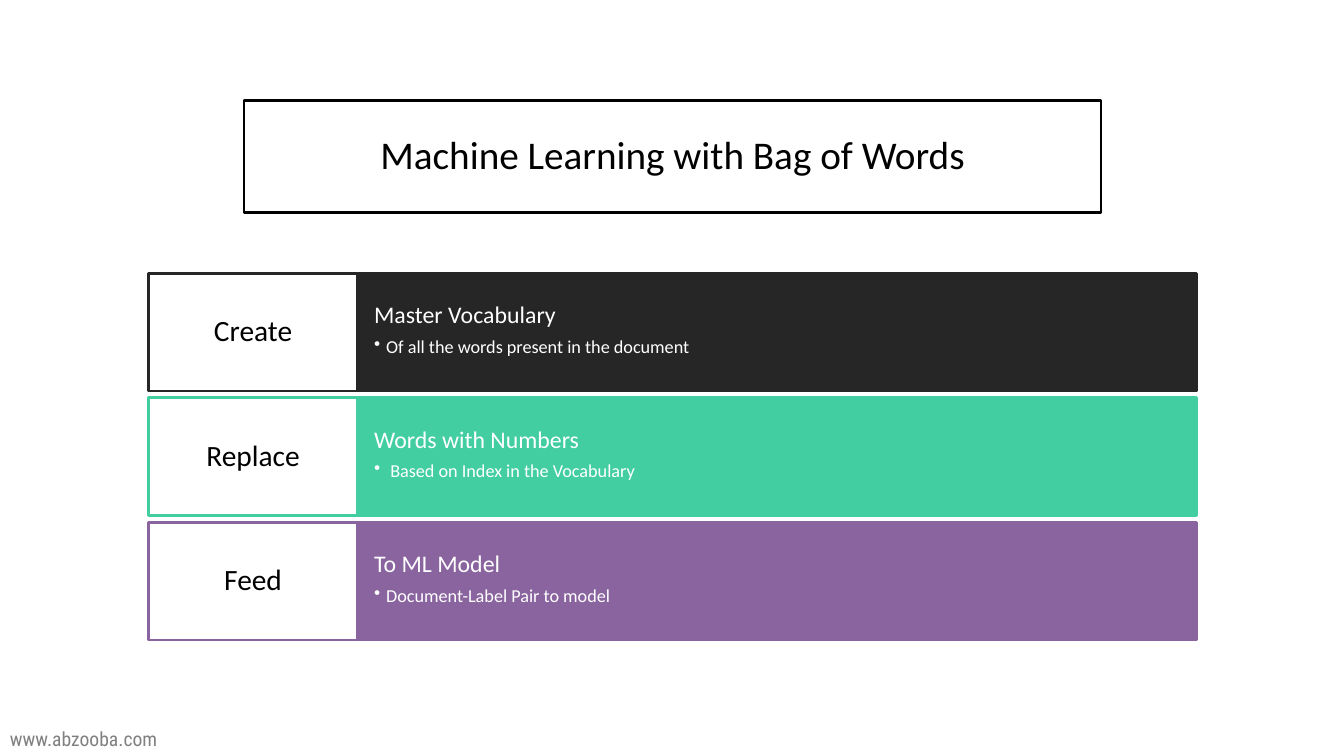
from lxml import etree
from pptx import Presentation
from pptx.dml.color import RGBColor
from pptx.enum.shapes import MSO_SHAPE
from pptx.enum.text import MSO_ANCHOR, MSO_AUTO_SIZE, PP_ALIGN
from pptx.oxml.ns import qn
from pptx.util import Inches, Pt

TITLE = "Machine Learning with Bag of Words"
FOOTER = "www.abzooba.com"
STEPS = [
    ("Create", "Master Vocabulary", "Of all the words present in the document", "dark"),
    ("Replace", "Words with Numbers", " Based on Index in the Vocabulary", "green"),
    ("Feed", "To ML Model", "Document-Label Pair to model", "purple"),
]
COLORS = {
    "black": "000000", "white": "FFFFFF", "gray": "808080",
    "dark": "262626", "green": "42CEA1", "purple": "8A649F",
}
LEFT, TOP, PITCH, ROW_H = 1.47, 2.71, 1.235, 1.17
LABEL_W, DETAIL_W = 2.08, 8.32


def rgb(name):
    return RGBColor.from_string(COLORS[name])


def paint(sp, fill, line):
    sp.fill.solid()
    sp.fill.fore_color.rgb = rgb(fill)
    sp.line.color.rgb = rgb(line)
    sp.line.width = Pt(2)


def set_frame(tf, anchor, x_inset, y_inset):
    tf.word_wrap = True
    tf.auto_size = MSO_AUTO_SIZE.NONE
    tf.vertical_anchor = anchor
    tf.margin_left = tf.margin_right = Inches(x_inset)
    tf.margin_top = tf.margin_bottom = Inches(y_inset)


def write(p, text, size, color, align=PP_ALIGN.LEFT, after=0, font="Calibri"):
    p.text = text
    p.alignment = align
    p.line_spacing = 0.9
    p.space_before = Pt(0)
    p.space_after = Pt(after)
    f = p.runs[0].font
    f.name, f.size, f.color.rgb = font, Pt(size), rgb(color)


def add_bullet(p):
    pPr = p._p.get_or_add_pPr()
    pPr.set("marL", str(Inches(0.12)))
    pPr.set("indent", str(Inches(-0.12)))
    etree.SubElement(pPr, qn("a:buChar")).set("char", "•")


def add_box(slide, x, y, w, fill, line):
    sp = slide.shapes.add_shape(MSO_SHAPE.RECTANGLE, Inches(x), Inches(y), Inches(w), Inches(ROW_H))
    sp.shadow.inherit = False
    paint(sp, fill, line)
    return sp


def add_step(slide, y, label, heading, detail, color):
    tf = add_box(slide, LEFT + LABEL_W, y, DETAIL_W, color, color).text_frame
    set_frame(tf, MSO_ANCHOR.TOP, 0.16, 0.3)
    write(tf.paragraphs[0], heading, 17, "white", after=6)
    p = tf.add_paragraph()
    p.level = 1
    add_bullet(p)
    write(p, detail, 13, "white", after=2)

    tf = add_box(slide, LEFT, y, LABEL_W, "white", color).text_frame
    set_frame(tf, MSO_ANCHOR.MIDDLE, 0.11, 0.12)
    write(tf.paragraphs[0], label, 21, "black", PP_ALIGN.CENTER)


def main():
    prs = Presentation()
    prs.slide_width, prs.slide_height = Inches(13.33), Inches(7.5)
    slide = prs.slides.add_slide(prs.slide_layouts[5])

    title = slide.shapes.title
    title.left, title.top = Inches(2.42), Inches(1)
    title.width, title.height = Inches(8.5), Inches(1.11)
    paint(title, "white", "black")
    set_frame(title.text_frame, MSO_ANCHOR.MIDDLE, 0.1, 0.05)
    write(title.text_frame.paragraphs[0], TITLE, 28, "black", PP_ALIGN.CENTER)

    for i, step in enumerate(STEPS):
        add_step(slide, TOP + i * PITCH, *step)

    footer = slide.shapes.add_textbox(0, Inches(7.16), Inches(1.72), Inches(0.33))
    set_frame(footer.text_frame, MSO_ANCHOR.TOP, 0.1, 0.05)
    p = footer.text_frame.paragraphs[0]
    write(p, FOOTER, 14, "gray", font="Roboto Condensed")
    p.line_spacing = 1.0

    prs.save("out.pptx")


if __name__ == "__main__":
    main()
